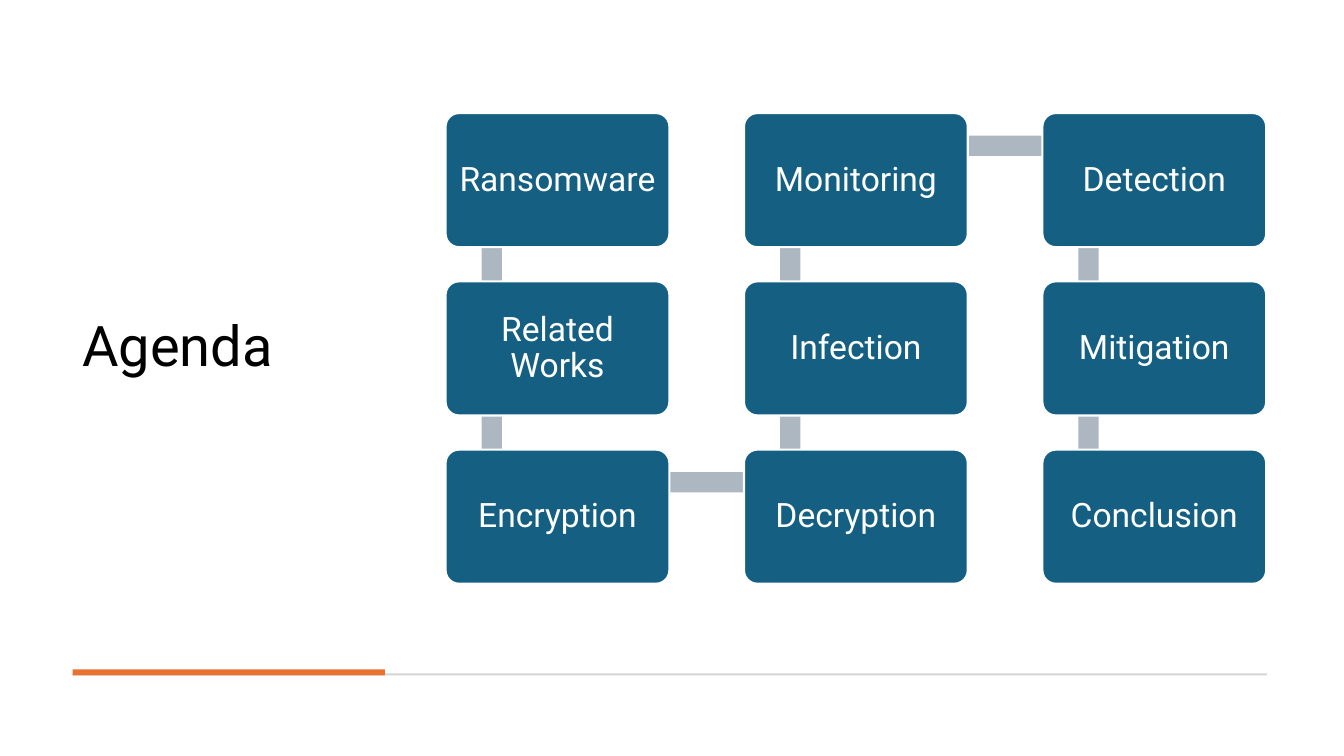
"""Build the agenda slide: nine topics in a snaking grid of linked boxes."""
from pptx import Presentation
from pptx.dml.color import RGBColor
from pptx.enum.shapes import MSO_SHAPE
from pptx.enum.text import MSO_ANCHOR, PP_ALIGN
from pptx.util import Cm, Pt

RECTANGLE, ROUNDED = MSO_SHAPE.RECTANGLE, MSO_SHAPE.ROUNDED_RECTANGLE
MIDDLE = MSO_ANCHOR.MIDDLE
LEFT, CENTER = PP_ALIGN.LEFT, PP_ALIGN.CENTER

BLACK = RGBColor(0x00, 0x00, 0x00)
WHITE = RGBColor(0xFF, 0xFF, 0xFF)
BLUE = RGBColor(0x15, 0x60, 0x82)
LINK_GRAY = RGBColor(0xAC, 0xB7, 0xC1)
RULE_GRAY = RGBColor(0xD5, 0xD5, 0xD5)
ORANGE = RGBColor(0xE9, 0x71, 0x32)

TITLE = "Agenda"
TOPICS = [
    "Ransomware", "Related Works", "Encryption",
    "Decryption", "Infection", "Monitoring",
    "Detection", "Mitigation", "Conclusion",
]
TITLE_AREA = (1.83, 1.19, 7.87, 15.16)
RULES = [
    ((1.83, 16.97, 30.1, 0.05), RULE_GRAY),
    ((1.83, 16.87, 7.87, 0.15), ORANGE),
]

ROWS = 3
GRID_LEFT, GRID_TOP = 11.23, 2.85
COLUMN_STEP, ROW_STEP = 7.52, 4.24
BOX_WIDTH, BOX_HEIGHT = 5.64, 3.38
LINK_THICKNESS = 0.51
VERTICAL_LINK = (0.91, 0.84, LINK_THICKNESS, 4.22)
HORIZONTAL_LINK = (1.17, 0.57, 7.49, LINK_THICKNESS)

TITLE_FONT = {"name": "Roboto", "size": Pt(40)}
TOPIC_FONT = {"name": "Roboto", "size": Pt(24)}
TITLE_FRAME = {"word_wrap": True, "vertical_anchor": MIDDLE}
TOPIC_FRAME = {
    "word_wrap": True, "vertical_anchor": MIDDLE,
    "margin_left": Cm(0.22), "margin_right": Cm(0.22),
    "margin_top": Cm(0.25), "margin_bottom": Cm(0.25),
}


def set_attributes(target, values):
    for name, value in values.items():
        setattr(target, name, value)


def add_block(slide, kind, area, color):
    shape = slide.shapes.add_shape(kind, *map(Cm, area))
    shape.shadow.inherit = False
    shape.fill.solid()
    shape.fill.fore_color.rgb = color
    shape.line.fill.background()
    return shape


def write_text(shape, text, frame_format, font_format, color, alignment):
    frame = shape.text_frame
    set_attributes(frame, frame_format)
    paragraph = frame.paragraphs[0]
    set_attributes(paragraph, {"alignment": alignment, "line_spacing": 0.9})
    run = paragraph.add_run()
    run.text = text
    set_attributes(run.font, font_format)
    run.font.color.rgb = color


def grid_position(index):
    column, step = divmod(index, ROWS)
    row = ROWS - 1 - step if column % 2 else step
    return GRID_LEFT + column * COLUMN_STEP, GRID_TOP + row * ROW_STEP


def add_link(slide, start, end):
    link = VERTICAL_LINK if start[0] == end[0] else HORIZONTAL_LINK
    offset_x, offset_y, width, height = link
    left = min(start[0], end[0]) + offset_x
    top = min(start[1], end[1]) + offset_y
    add_block(slide, RECTANGLE, (left, top, width, height), LINK_GRAY)


def add_topic(slide, topic, position):
    box = add_block(slide, ROUNDED, (*position, BOX_WIDTH, BOX_HEIGHT), BLUE)
    box.adjustments[0] = 0.1
    box.line.color.rgb = WHITE
    box.line.width = Pt(1.5)
    write_text(box, topic, TOPIC_FRAME, TOPIC_FONT, WHITE, CENTER)


def main():
    presentation = Presentation()
    presentation.slide_width, presentation.slide_height = Cm(33.87), Cm(19.05)
    slide = presentation.slides.add_slide(presentation.slide_layouts[6])

    title = slide.shapes.add_textbox(*map(Cm, TITLE_AREA))
    write_text(title, TITLE, TITLE_FRAME, TITLE_FONT, BLACK, LEFT)
    for area, color in RULES:
        add_block(slide, RECTANGLE, area, color)

    positions = [grid_position(index) for index in range(len(TOPICS))]
    for start, end in zip(positions, positions[1:]):
        add_link(slide, start, end)
    for topic, position in zip(TOPICS, positions):
        add_topic(slide, topic, position)

    presentation.save("out.pptx")


if __name__ == "__main__":
    main()
